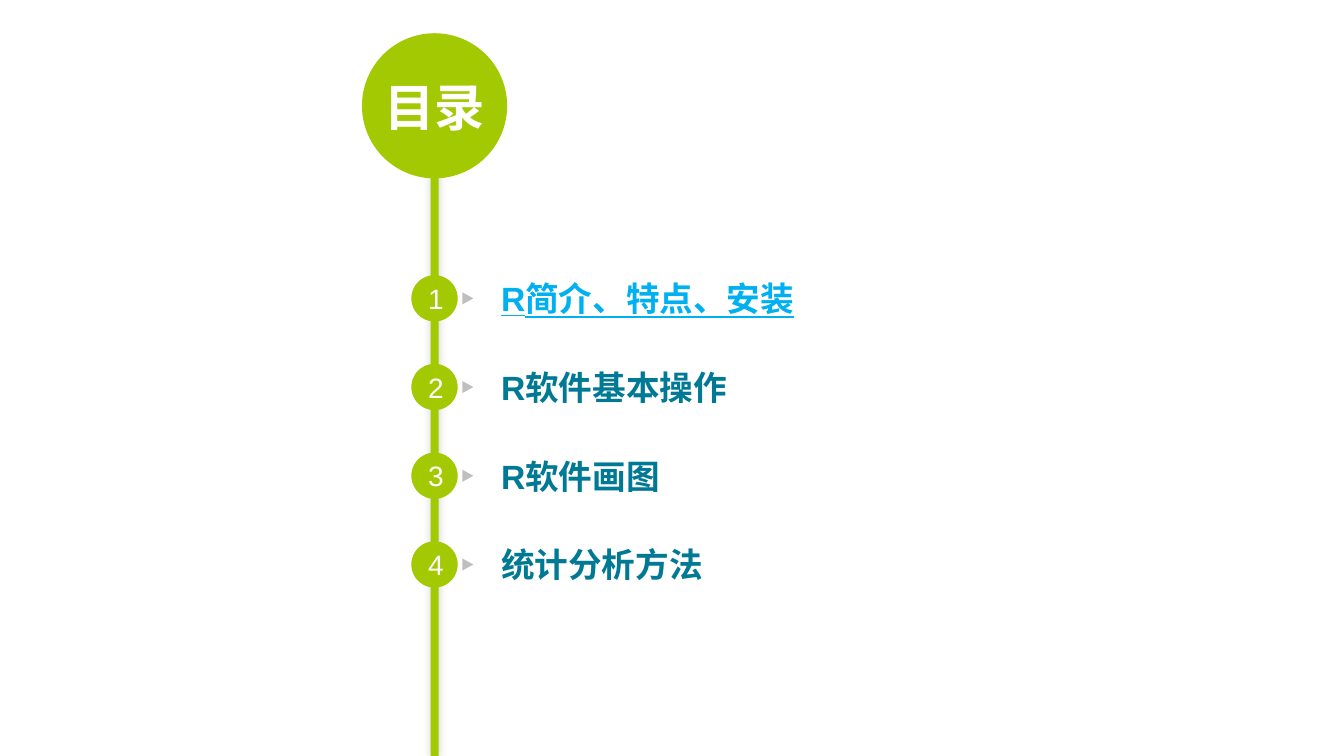
from lxml import etree
from pptx import Presentation
from pptx.dml.color import RGBColor
from pptx.enum.shapes import MSO_SHAPE
from pptx.enum.text import MSO_ANCHOR, MSO_AUTO_SIZE, PP_ALIGN
from pptx.oxml.ns import qn
from pptx.util import Inches, Pt

OVAL, TRIANGLE, RECT = MSO_SHAPE.OVAL, MSO_SHAPE.ISOSCELES_TRIANGLE, MSO_SHAPE.RECTANGLE
MIDDLE, NO_FIT = MSO_ANCHOR.MIDDLE, MSO_AUTO_SIZE.NONE
LEFT, CENTER = PP_ALIGN.LEFT, PP_ALIGN.CENTER

GREEN = RGBColor(0xA3, 0xC9, 0x02)
TEAL = RGBColor(0x00, 0x79, 0x95)
BLUE = RGBColor(0x00, 0xB0, 0xF0)
GRAY = RGBColor(0xBF, 0xBF, 0xBF)
WHITE = RGBColor(0xFF, 0xFF, 0xFF)

AXIS_X = 4.31
FIRST_Y = 2.96
STEP = 0.88
TOPICS = ["R简介、特点、安装", "R软件基本操作", "R软件画图", "统计分析方法"]


class AgendaSlide:
    """Holds the style and the slide being built."""

    font = "Arial"

    def __init__(self, prs):
        self.slide = prs.slides.add_slide(prs.slide_layouts[5])
        self.shapes = self.slide.shapes

    def shape(self, kind, cx, cy, width, height, color):
        """Add a plain filled shape centred on (cx, cy)."""
        sp = self.shapes.add_shape(kind, Inches(cx - width / 2), Inches(cy - height / 2),
                                   Inches(width), Inches(height))
        sp.shadow.inherit = False
        sp.fill.solid()
        sp.fill.fore_color.rgb = color
        sp.line.fill.background()
        return sp

    def set_text(self, sp, text, size, color, align, bold=False, inset=None):
        tf = sp.text_frame
        tf.word_wrap = True
        tf.auto_size = NO_FIT
        tf.vertical_anchor = MIDDLE
        if inset is not None:
            tf.margin_left = tf.margin_right = Inches(inset)
            tf.margin_top = tf.margin_bottom = Inches(inset)
        p = tf.paragraphs[0]
        p.text = text
        p.alignment = align
        p.font.name = self.font
        p.font.size = Pt(size)
        p.font.bold = bold
        p.font.color.rgb = color
        return p

    def stem(self, top, bottom):
        sp = self.shape(RECT, AXIS_X, (top + bottom) / 2, 0.08, bottom - top, GREEN)
        # Soft shadow around the stem
        effects = sp._element.spPr.find(qn("a:effectLst"))
        shadow = etree.SubElement(effects, qn("a:outerShdw"), blurRad=str(Pt(6)),
                                  dist="0", dir=str(225 * 60000), rotWithShape="0")
        black = etree.SubElement(shadow, qn("a:srgbClr"), val="000000")
        etree.SubElement(black, qn("a:alpha"), val="20000")

    def title(self, text, cy, size):
        circle = self.shape(OVAL, AXIS_X, cy, size, size, GREEN)
        sp = self.shapes.title
        sp.left, sp.top = circle.left, circle.top
        sp.width, sp.height = circle.width, circle.height
        self.set_text(sp, text, 36, WHITE, CENTER, bold=True, inset=0)
        # Bring the title in front of its circle
        circle._element.addnext(sp._element)

    def topic(self, number, text, cy, current):
        badge = self.shape(OVAL, AXIS_X, cy, 0.46, 0.46, GREEN)
        self.set_text(badge, str(number), 20, WHITE, CENTER)
        arrow = self.shape(TRIANGLE, 4.64, cy, 0.12, 0.11, GRAY)
        arrow.rotation = 90
        label = self.shapes.add_textbox(Inches(4.97), Inches(cy - 0.35),
                                        Inches(5.84), Inches(0.7))
        p = self.set_text(label, text, 24, BLUE if current else TEAL, LEFT,
                          bold=True, inset=0)
        if current:
            p.font.underline = True


def main():
    prs = Presentation()
    prs.slide_width, prs.slide_height = Inches(13.33), Inches(7.5)
    agenda = AgendaSlide(prs)

    # Stem and heading
    agenda.stem(1.04, 7.5)
    agenda.title("目录", 1.05, 1.44)

    # Topics, the current one highlighted
    for i, text in enumerate(TOPICS):
        agenda.topic(i + 1, text, FIRST_Y + i * STEP, current=i == 0)

    prs.save("out.pptx")


if __name__ == "__main__":
    main()
